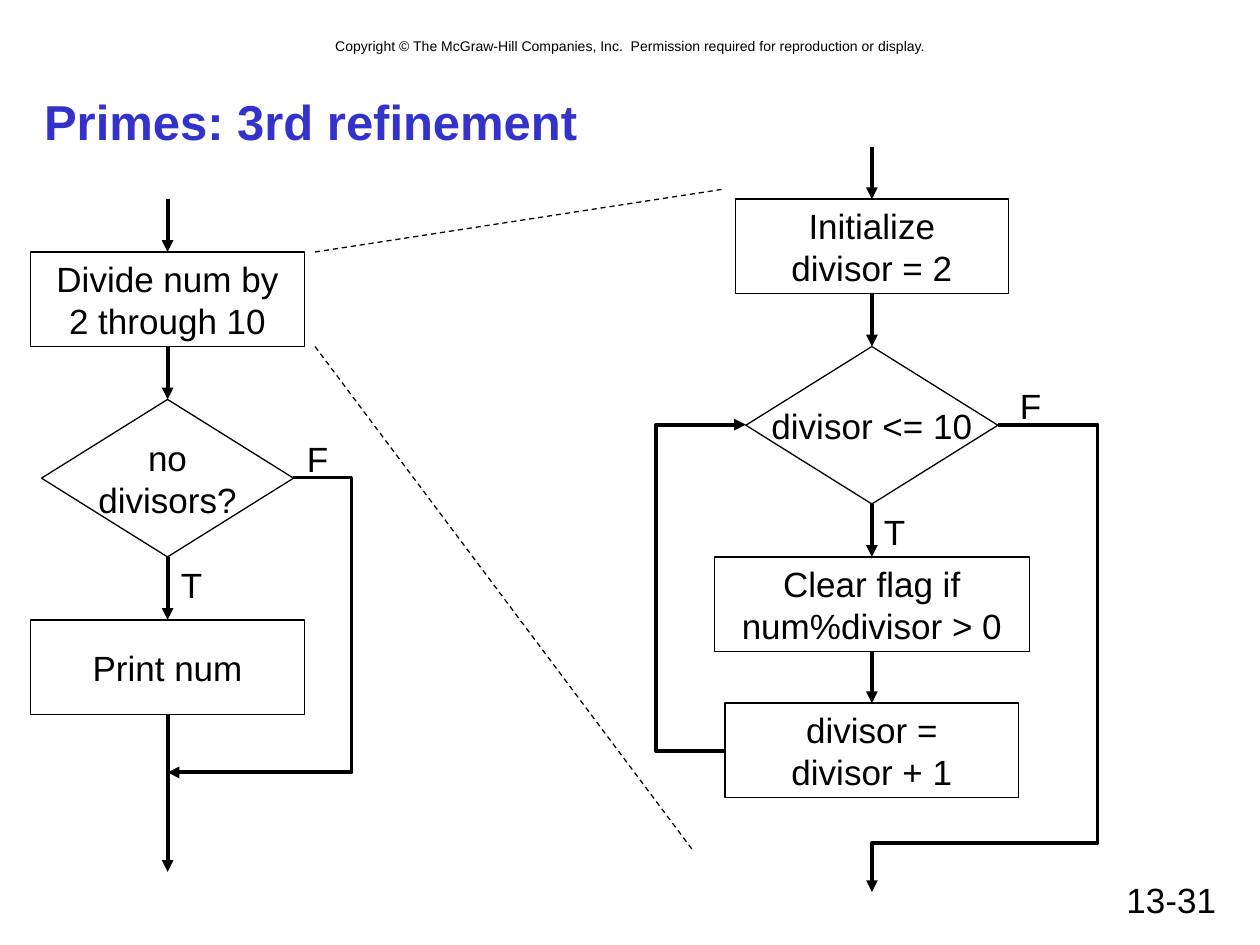
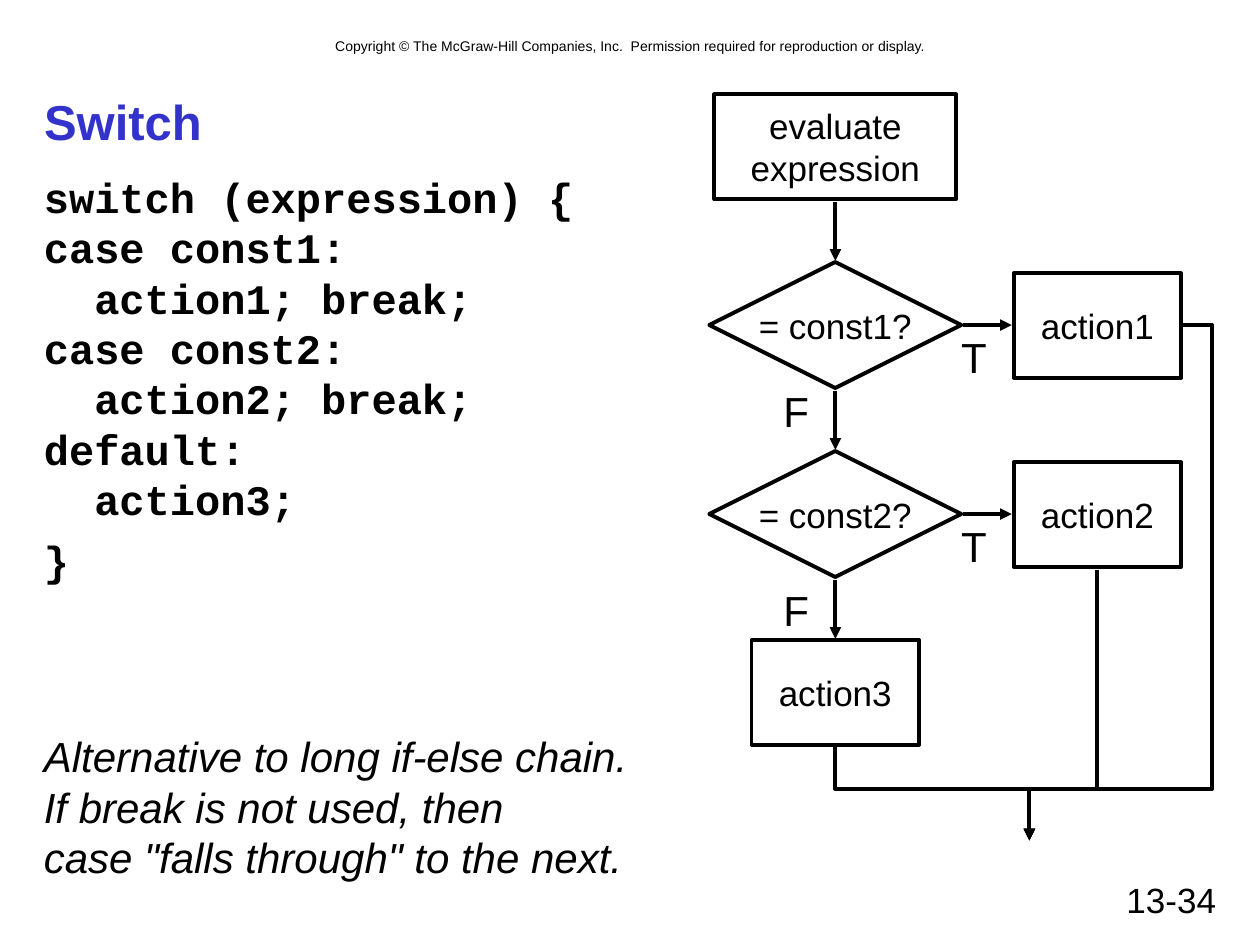
import dataclasses

import lxml.etree
import pptx
import pptx.dml.color
import pptx.enum.dml
import pptx.enum.shapes
import pptx.enum.text
import pptx.oxml.ns
import pptx.util

Inches = pptx.util.Inches
Pt = pptx.util.Pt
Kind = pptx.enum.shapes.MSO_SHAPE
Align = pptx.enum.text.PP_ALIGN
Anchor = pptx.enum.text.MSO_ANCHOR
qn = pptx.oxml.ns.qn


@dataclasses.dataclass(frozen=True)
class Theme:
    ink: str = "000000"
    head: str = "3333CC"
    font: str = "Arial"
    mono: str = "Courier New"
    small: int = 8
    text: int = 20
    large: int = 24
    title: int = 28
    lead: float = 1.2
    thin: float = 0.75
    thick: float = 2.25


THEME = Theme()
NOTICE = ("Copyright © The McGraw-Hill Companies, Inc.  "
          "Permission required for reproduction or display.")
CODE = """switch (expression) {
case const1:
  action1; break;
case const2:
  action2; break;
default:
  action3;"""


def color(code):
    return pptx.dml.color.RGBColor.from_string(code)


# Text
def write(frame, parts, size=THEME.text, align=Align.CENTER, face=THEME.font,
          ink=THEME.ink, bold=False, slant=False, gap=0):
    """Fill a frame with paragraphs; newlines become line breaks."""
    frame.text = "\n".join(part.replace("\n", "\v") for part in parts)
    for index, para in enumerate(frame.paragraphs):
        para.alignment = align
        para.line_spacing = Pt(THEME.lead * size)
        para.space_before = Pt(gap if index else 0)
        font = para.font
        font.name, font.size = face, Pt(size)
        font.bold, font.italic = bold, slant
        font.color.rgb = color(ink)


def label(slide, parts, left, top, width, height, wrap=True, **style):
    area = slide.shapes.add_textbox(*map(Inches, (left, top, width, height)))
    area.text_frame.word_wrap = wrap
    write(area.text_frame, parts, **style)


def mark(slide, text, left, top, size=THEME.text):
    """Add a T or F beside a branch."""
    label(slide, [text], left, top, 0.4, 0.45, wrap=False, size=size)


# Lines and arrows
def stroke(line, weight):
    line.color.rgb = color(THEME.ink)
    line.width = Pt(weight)


def tip(shape):
    """Put an arrowhead at the end of a line."""
    outline = shape.element.spPr.find(qn("a:ln"))
    lxml.etree.SubElement(outline, qn("a:tailEnd"), type="triangle")


def join(slide, start, end, weight=THEME.thick):
    line = slide.shapes.add_connector(
        pptx.enum.shapes.MSO_CONNECTOR.STRAIGHT, *map(Inches, start + end))
    stroke(line.line, weight)
    lxml.etree.SubElement(line.element.spPr, qn("a:effectLst"))
    return line


def arrow(slide, start, end):
    tip(join(slide, start, end))


def drop(slide, x, *spans):
    """Add downward arrows in one column."""
    for top, bottom in spans:
        arrow(slide, (x, top), (x, bottom))


def dash(slide, start, end):
    line = join(slide, start, end, THEME.thin)
    line.line.dash_style = pptx.enum.dml.MSO_LINE.DASH


def route(slide, *points):
    """Add an arrow that turns at each inner point."""
    first, *rest = [tuple(map(Inches, point)) for point in points]
    pen = slide.shapes.build_freeform(*first)
    pen.add_line_segments(rest, close=False)
    shape = pen.convert_to_shape()
    shape.shadow.inherit = False
    shape.fill.background()
    stroke(shape.line, THEME.thick)
    tip(shape)


# Flowchart nodes
def node(slide, parts, center, top, width, height, kind=Kind.RECTANGLE,
         weight=THEME.thick):
    shape = slide.shapes.add_shape(
        kind, *map(Inches, (center - width / 2, top, width, height)))
    shape.shadow.inherit = False
    shape.fill.background()
    stroke(shape.line, weight)
    shape.text_frame.word_wrap = False
    shape.text_frame.vertical_anchor = Anchor.MIDDLE
    write(shape.text_frame, parts)


def step(slide, parts, center, top, width=2.17):
    node(slide, parts, center, top, width, 0.75, weight=THEME.thin)


def test(slide, text, center, top):
    node(slide, [text], center, top, 2, 1.25,
         Kind.FLOWCHART_DECISION, THEME.thin)


def block(slide, text, center, top, width=1.33):
    node(slide, [text], center, top, width, 0.83)


# Shared page parts
def page(deck, title, number):
    slide = deck.slides.add_slide(deck.slide_layouts[5])
    label(slide, [NOTICE], 0.67, 0.25, 8.67, 0.24, size=THEME.small)
    label(slide, [number], 7.17, 6.92, 2.58, 0.42, align=Align.RIGHT)
    head = slide.shapes.title
    head.left, head.top = Inches(0.25), Inches(0.67)
    head.width, head.height = Inches(9.5), Inches(0.58)
    head.text_frame.vertical_anchor = Anchor.MIDDLE
    head.text_frame.auto_size = pptx.enum.text.MSO_AUTO_SIZE.NONE
    write(head.text_frame, [title], size=THEME.title, align=Align.LEFT,
          ink=THEME.head, bold=True)
    return slide


def primes(deck):
    slide = page(deck, "Primes: 3rd refinement", "13-31")

    # Outer flow
    main_x = 1.33
    step(slide, ["Divide num by\n2 through 10"], main_x, 2)
    test(slide, "no\ndivisors?", main_x, 3.17)
    step(slide, ["Print num"], main_x, 4.92)
    drop(slide, main_x, (1.58, 2), (2.75, 3.17), (4.42, 4.92), (5.67, 6.92))
    route(slide, (2.33, 3.79), (2.79, 3.79), (2.79, 6.13), (main_x, 6.13))
    mark(slide, "F", 2.32, 3.42)
    mark(slide, "T", 1.32, 4.42)

    # Loop that refines the first step
    loop_x = 6.92
    step(slide, ["Initialize", "divisor = 2"], loop_x, 1.58)
    test(slide, "divisor <= 10", loop_x, 2.75)
    step(slide, ["Clear flag if\nnum%divisor > 0"], loop_x, 4.42, 2.5)
    step(slide, ["divisor =", "divisor + 1"], loop_x, 5.58, 2.33)
    drop(slide, loop_x, (1.17, 1.58), (2.33, 2.75), (4, 4.42), (5.17, 5.58))
    route(slide, (7.92, 3.37), (8.71, 3.37), (8.71, 6.69),
          (loop_x, 6.69), (loop_x, 7.08))
    route(slide, (5.75, 5.96), (5.21, 5.96), (5.21, 3.37), (5.92, 3.37))
    mark(slide, "F", 7.98, 3)
    mark(slide, "T", 6.9, 4)

    # Zoom lines
    dash(slide, (2.5, 2), (5.75, 1.5))
    dash(slide, (2.5, 2.75), (5.5, 6.75))


def switch(deck):
    slide = page(deck, "Switch", "13-34")

    # Code and remark
    label(slide, [CODE, "}"], 0.25, 1.31, 5.3, 3.5, size=THEME.large,
          align=Align.LEFT, face=THEME.mono, bold=True, gap=6)
    label(slide, ["Alternative to long if-else chain.",
                  'If break is not used, then\ncase "falls through" to the next.'],
          0.25, 5.75, 5.2, 1.3, size=THEME.large, align=Align.LEFT, slant=True)

    # Tests, each with its action on the right
    test_x, act_x = 6.63, 8.71
    block(slide, "evaluate\nexpression", test_x, 0.75, 1.92)
    for index in range(2):
        mid = 2.58 + 1.5 * index
        node(slide, [f"= const{index + 1}?"], test_x, mid - 0.5, 2, 1,
             Kind.DIAMOND)
        block(slide, f"action{index + 1}", act_x, mid - 0.41)
        arrow(slide, (7.64, mid), (8.03, mid))
        mark(slide, "T", 7.53, mid, THEME.large)
    block(slide, "action3", test_x, 5.08)
    drop(slide, test_x, (1.6, 2.07), (3.1, 3.57), (4.6, 5.07))
    for top in (3.01, 4.59):
        mark(slide, "F", 6.12, top, THEME.large)

    # All actions meet at one exit
    turn, leave = (8.17, 6.26), (8.17, 6.67)
    route(slide, (test_x, 5.93), (test_x, 6.26), turn, leave)
    route(slide, (act_x, 4.52), (act_x, 6.26), turn, leave)
    route(slide, (9.39, 2.58), (9.62, 2.58), (9.62, 6.26), turn, leave)


def main():
    deck = pptx.Presentation()
    deck.slide_width, deck.slide_height = Inches(10), Inches(7.5)
    primes(deck)
    switch(deck)
    deck.save("out.pptx")


if __name__ == "__main__":
    main()
